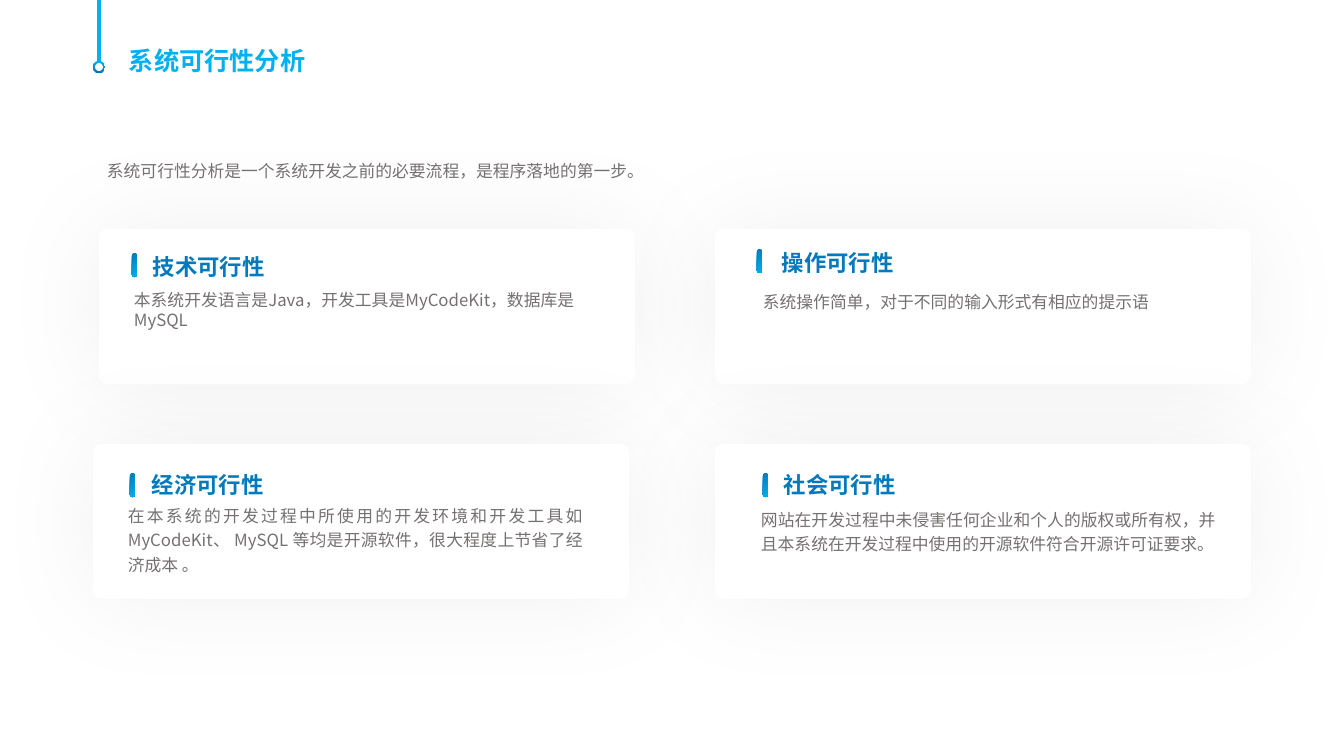
from lxml import etree
from pptx import Presentation, util as u
from pptx.dml.color import RGBColor
from pptx.enum import shapes, text
from pptx.oxml.ns import qn

FONT = "Noto Sans CJK SC"
GREY, WHITE, SKY = "767171", "FFFFFF", "00B0F0"
ACCENT = ("0079BD", SKY, 45)  # from, to, clockwise angle
TITLE_BLEND = (SKY, "0070C0", 90)

TITLE = "系统可行性分析"
INTRO = "系统可行性分析是一个系统开发之前的必要流程，是程序落地的第一步。"
CARD_SIZE, BAR_SIZE, HEADING_SIZE = (536, 155), (5, 24), (133, 40)
BODY_WIDTH = 475
JUSTIFIED = dict(align=text.PP_ALIGN.JUSTIFY, spacing=1.2)
# heading, body, body format, then left and top of card, bar, heading, body; body height
CARDS = [
    ("技术可行性", "本系统开发语言是Java，开发工具是MyCodeKit，数据库是MySQL", {},
     (99, 229), (132, 253), (143, 243), (124, 285), 50),
    ("操作可行性", "系统操作简单，对于不同的输入形式有相应的提示语", {},
     (715, 229), (757, 249), (772, 239), (753, 287), 30),
    ("经济可行性",
     "在本系统的开发过程中所使用的开发环境和开发工具如 MyCodeKit、 MySQL 等均是开源软件，很大程度上节省了经济成本 。",
     JUSTIFIED, (93, 444), (130, 473), (142, 461), (118, 497), 82),
    ("社会可行性",
     "网站在开发过程中未侵害任何企业和个人的版权或所有权，并且本系统在开发过程中使用的开源软件符合开源许可证要求。",
     JUSTIFIED, (715, 444), (763, 473), (774, 461), (751, 501), 57),
]

PX = u.Inches(1) / 100.8


def px(*lengths):
    return [u.Emu(round(n * PX)) for n in lengths]


def color(value):
    return RGBColor.from_string(value)


def paint(fill, paint_value):
    """Fill with one hex colour, or a (from, to, clockwise angle) gradient."""
    if isinstance(paint_value, str):
        fill.solid()
        fill.fore_color.rgb = color(paint_value)
        return
    start, end, angle = paint_value
    fill.gradient()
    fill.gradient_angle = 360 - angle
    for stop, value, position in zip(fill.gradient_stops, (start, end), (0, 1)):
        stop.color.rgb = color(value)
        stop.position = position


def add_shape(kind, place, size, fill, corner=None):
    shape = slide.shapes.add_shape(kind, *px(*place, *size))
    shape.shadow.inherit = False
    paint(shape.fill, fill)
    shape.line.fill.background()
    if corner is not None:
        shape.adjustments[0] = corner
    return shape


def add_glow(shape):
    """Give a shape a wide, faint shadow on all sides."""
    effects = shape._element.spPr.find(qn("a:effectLst"))
    shadow = etree.SubElement(effects, qn("a:outerShdw"), blurRad=str(u.Pt(75)),
                              dist="0", dir="0", algn="ctr", rotWithShape="0")
    black = etree.SubElement(shadow, qn("a:srgbClr"), val="000000")
    etree.SubElement(black, qn("a:alpha"), val="6000")


def add_text(words, place, size, points=12, fill=GREY, bold=False, wrap=True,
             align=None, spacing=None):
    frame = slide.shapes.add_textbox(*px(*place, *size)).text_frame
    frame.word_wrap = wrap
    frame.auto_size = text.MSO_AUTO_SIZE.SHAPE_TO_FIT_TEXT
    paragraph = frame.paragraphs[0]
    paragraph.alignment = align
    paragraph.line_spacing = spacing
    run = paragraph.add_run()
    run.text = words
    run.font.size = u.Pt(points)
    run.font.bold = bold
    run.font.name = FONT
    paint(run.font.fill, fill)
    etree.SubElement(run.font._element, qn("a:ea"), typeface=FONT)


deck = Presentation()
deck.slide_width, deck.slide_height = px(1344, 756)
slide = deck.slides.add_slide(deck.slide_layouts[6])
ROUNDED, OVAL = shapes.MSO_SHAPE.ROUNDED_RECTANGLE, shapes.MSO_SHAPE.OVAL

for card in CARDS:
    add_glow(add_shape(ROUNDED, card[3], CARD_SIZE, WHITE, corner=0.053))

for heading, body, body_format, _, bar_at, heading_at, body_at, body_height in CARDS:
    add_text(body, body_at, (BODY_WIDTH, body_height), **body_format)
    add_text(heading, heading_at, HEADING_SIZE, points=16, fill=ACCENT, bold=True,
             wrap=False, spacing=1.2)
    add_shape(ROUNDED, bar_at, BAR_SIZE, ACCENT, corner=0.5)

add_text(TITLE, (119, 34), (199, 43), points=18, fill=TITLE_BLEND, bold=True,
         wrap=False, spacing=1.2)
cord = slide.shapes.add_connector(shapes.MSO_CONNECTOR.STRAIGHT, *px(99, 0, 99, 65))
cord.line.width = u.Pt(2.25)
cord.line.color.rgb = color(SKY)
etree.SubElement(cord._element.spPr, qn("a:effectLst"))
add_shape(OVAL, (93, 61), (12, 12), TITLE_BLEND)
add_shape(OVAL, (95, 63), (8, 8), WHITE)
add_text(INTRO, (97, 152), (845, 32), **JUSTIFIED)

deck.save("out.pptx")
